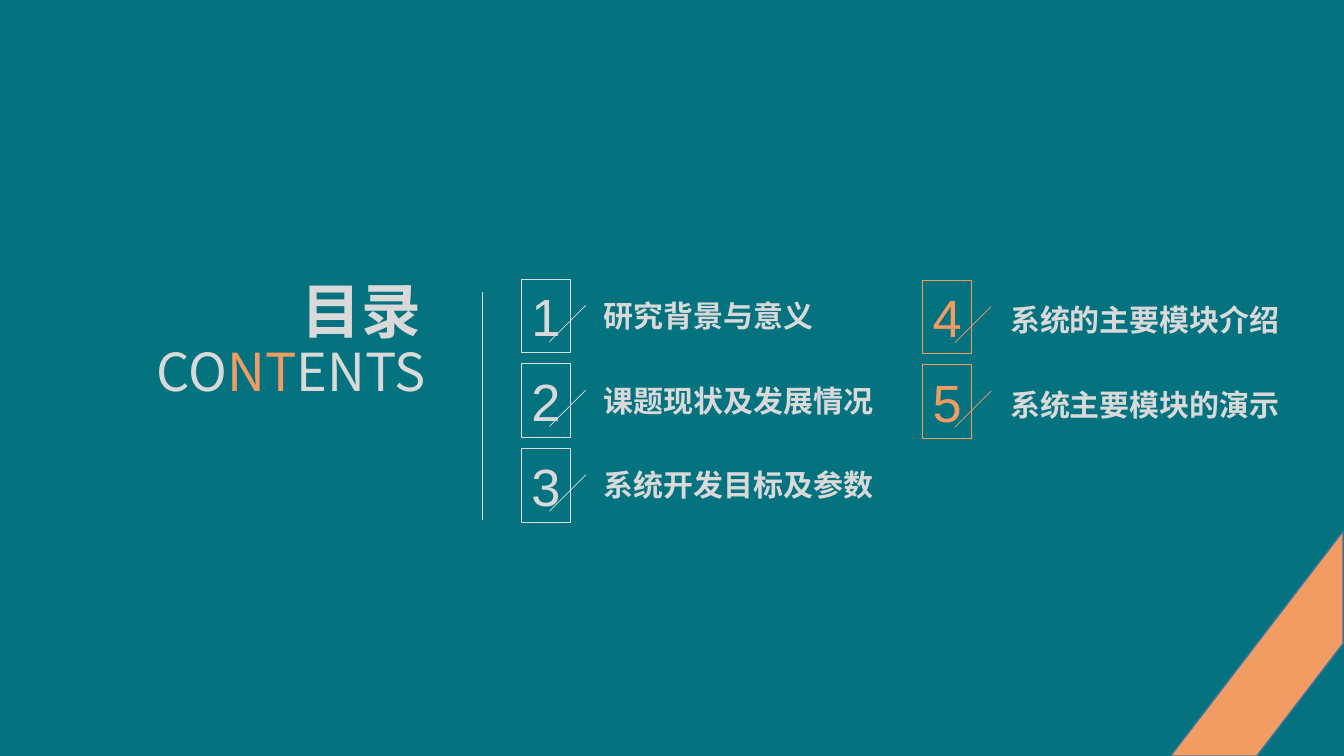
from lxml.etree import SubElement
from pptx import Presentation
from pptx.dml.color import RGBColor
from pptx.enum.shapes import MSO_CONNECTOR, MSO_SHAPE
from pptx.enum.text import MSO_ANCHOR, MSO_AUTO_SIZE, PP_ALIGN
from pptx.oxml.ns import qn
from pptx.util import Inches, Pt

TEAL = RGBColor(0x04, 0x72, 0x7F)
ORANGE = RGBColor(0xF1, 0x9C, 0x63)
LIGHT = RGBColor(0xD9, 0xD9, 0xD9)
PALE = RGBColor(0xDC, 0xDC, 0xDC)
BLUE = RGBColor(0x43, 0x73, 0x9E)
CJK_FONT = "Noto Sans CJK SC"
ROW_STEP = 0.84


def write_text(shape, parts, size, font=CJK_FONT, bold=False, align=PP_ALIGN.LEFT, wrap=False):
    """Fill a shape with one paragraph of (text, colour) parts."""
    frame = shape.text_frame
    frame.auto_size = MSO_AUTO_SIZE.NONE
    frame.word_wrap = wrap
    frame.vertical_anchor = MSO_ANCHOR.MIDDLE
    para = frame.paragraphs[0]
    para.alignment = align
    para.font.size = Pt(size)
    para.font.bold = bold
    para.font.color.rgb = parts[0][1]
    para.font.name = font
    properties = para._p.get_or_add_pPr().find(qn("a:defRPr"))
    SubElement(properties, qn("a:ea")).set("typeface", font)
    for text, colour in parts:
        span = para.add_run()
        span.text = text
        if len(parts) > 1:
            span.font.color.rgb = colour


def add_line(page, start, end, colour):
    """Draw a thin straight line without a shadow."""
    line = page.shapes.add_connector(
        MSO_CONNECTOR.STRAIGHT, *(Inches(value) for value in (*start, *end)))
    line.line.color.rgb = colour
    line.line.width = Pt(0.5)
    SubElement(line._element.spPr, qn("a:effectLst"))


def add_heading(page, left, top):
    """Place the title, its English subtitle and the divider."""
    title = page.shapes.title
    title.left, title.top = Inches(left + 2.57), Inches(top)
    title.width, title.height = Inches(1.39), Inches(0.82)
    write_text(title, [("目录", LIGHT)], 42.6, bold=True)
    subtitle = page.shapes.add_textbox(
        Inches(left), Inches(top + 0.65), Inches(4), Inches(0.73))
    write_text(subtitle, [("CO", LIGHT), ("NT", ORANGE), ("ENTS", LIGHT)], 37.4,
               align=PP_ALIGN.RIGHT, wrap=True)
    add_line(page, (left + 4.46, top + 0.24), (left + 4.46, top + 2.5), LIGHT)


def add_entry(page, left, top, number, label, line_colour, number_colour, slash_left, label_offset):
    """Place one framed number with its slash and label."""
    box = page.shapes.add_shape(
        MSO_SHAPE.RECTANGLE, Inches(left), Inches(top), Inches(0.49), Inches(0.73))
    box.shadow.inherit = False
    box.fill.background()
    box.line.color.rgb = line_colour
    box.line.width = Pt(0.75)
    write_text(box, [(str(number), number_colour)], 37.4, "Arial", align=PP_ALIGN.CENTER)
    slash = left + slash_left
    add_line(page, (slash + 0.36, top + 0.26), (slash, top + 0.62), line_colour)
    label_left, label_top = label_offset
    caption = page.shapes.add_textbox(
        Inches(left + label_left), Inches(top + label_top), Inches(2.88), Inches(0.46))
    write_text(caption, [(label, LIGHT)], 21.4, bold=True)


def add_column(page, left, top, first_number, labels, *style):
    """Stack numbered entries at equal steps."""
    for row, label in enumerate(labels):
        add_entry(page, left, top + row * ROW_STEP, first_number + row, label, *style)


def add_corner_stripe(page, left, top, width, height):
    """Draw the diagonal stripe in the lower right corner."""
    stripe = page.shapes.add_shape(
        MSO_SHAPE.DIAGONAL_STRIPE, Inches(left), Inches(top), Inches(width), Inches(height))
    stripe.rotation = 180
    stripe.shadow.inherit = False
    stripe.fill.solid()
    stripe.fill.fore_color.rgb = ORANGE
    stripe.line.color.rgb = BLUE
    stripe.line.width = Pt(1)


def build_contents(deck):
    """Build the contents page."""
    page = deck.slides.add_slide(deck.slide_layouts[5])
    page.background.fill.solid()
    page.background.fill.fore_color.rgb = TEAL
    add_heading(page, 0.32, 2.66)
    add_column(page, 5.17, 2.77, 1,
               ["研究背景与意义", "课题现状及发展情况", "系统开发目标及参数"],
               PALE, LIGHT, 0.28, (0.72, 0.13))
    add_column(page, 9.15, 2.78, 4,
               ["系统的主要模块介绍", "系统主要模块的演示"],
               ORANGE, ORANGE, 0.32, (0.77, 0.16))
    add_corner_stripe(page, 11.61, 5.27, 1.71, 2.23)


def main():
    """Create and save the deck."""
    deck = Presentation()
    deck.slide_width, deck.slide_height = Inches(13.33), Inches(7.5)
    build_contents(deck)
    deck.save("out.pptx")


if __name__ == "__main__":
    main()
